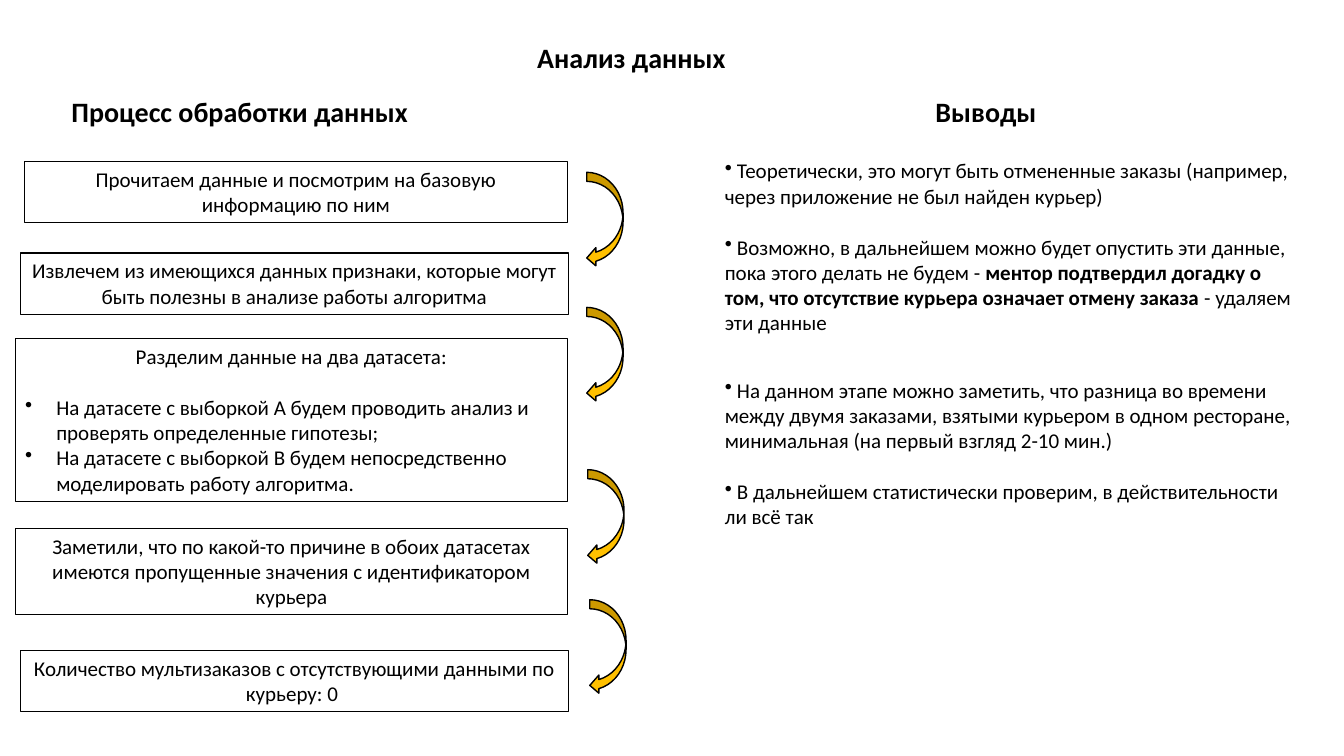
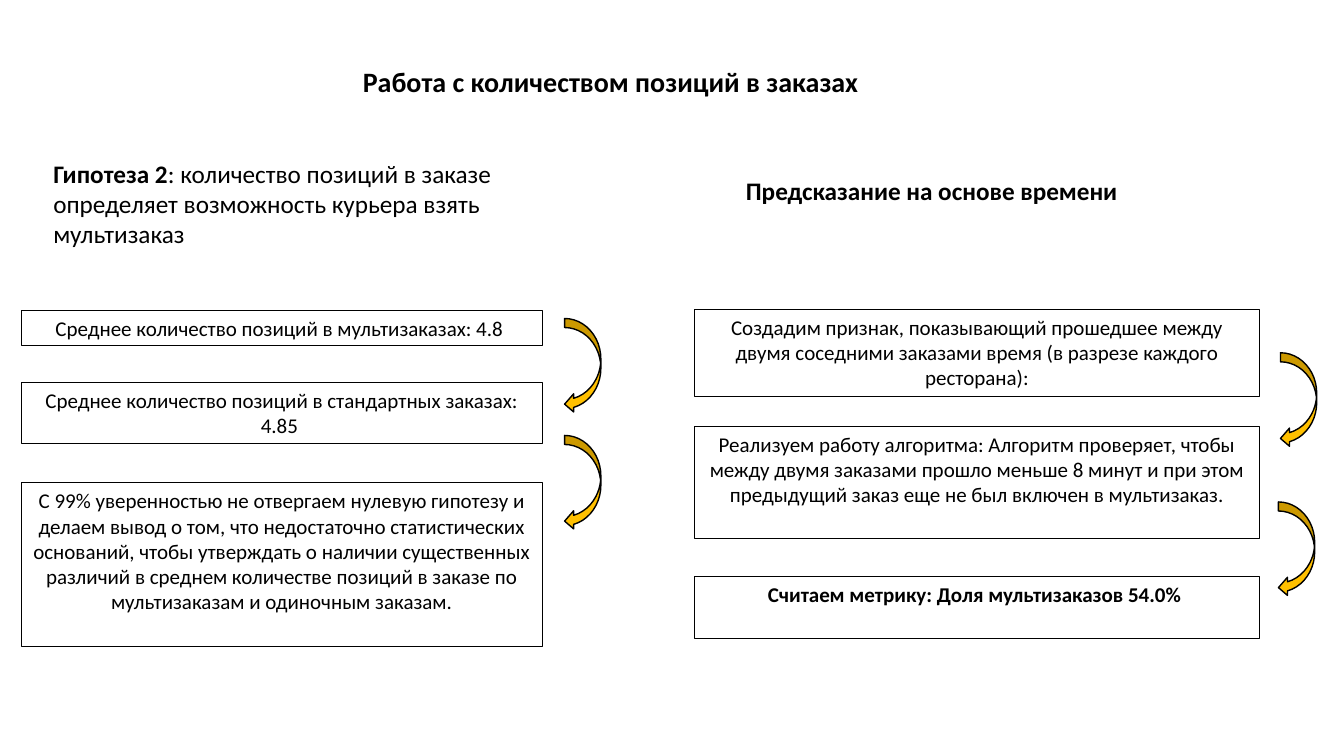
from dataclasses import dataclass

from lxml.etree import SubElement
from pptx import Presentation
from pptx.dml.color import RGBColor
from pptx.enum.shapes import MSO_SHAPE
from pptx.enum.text import MSO_ANCHOR, PP_ALIGN
from pptx.oxml.ns import qn
from pptx.util import Inches, Pt


@dataclass(frozen=True)
class Theme:
    """Colours, font and type sizes of the deck."""
    ink: RGBColor = RGBColor(0, 0, 0)
    gold: RGBColor = RGBColor(0xFF, 0xC0, 0)
    font: str = "Calibri"
    title: int = 20
    lead: int = 18
    body: int = 15
    gap: float = 18.3
    edge: float = 0.75
    rim: float = 1


class Deck:
    """Holds the theme and the slide being drawn."""

    def __init__(self, theme):
        """Start an empty wide deck."""
        self.theme = theme
        self.show = Presentation()
        self.show.slide_width = Inches(13.33)
        self.show.slide_height = Inches(7.5)

    def page(self):
        """Open a new blank slide."""
        self.slide = self.show.slides.add_slide(self.show.slide_layouts[6])

    def fill_text(self, para, text, size):
        """Fill a paragraph; parts between asterisks are bold."""
        for i, part in enumerate(text.split("*")):
            if part:
                run = para.add_run()
                run.text = part
                font = run.font
                font.name, font.size = self.theme.font, Pt(size)
                font.bold = i % 2 == 1
                font.color.rgb = self.theme.ink

    def bullet(self, para, indent=0):
        """Give a paragraph a round bullet with a hanging indent."""
        props = para._p.get_or_add_pPr()
        props.set("marL", str(Inches(indent)))
        props.set("indent", str(-Inches(indent)))
        SubElement(props, qn("a:buChar")).set("char", "•")

    def label(self, left, top, width, height, text, size):
        """Add a left-aligned text box."""
        box = self.slide.shapes.add_textbox(
            Inches(left), Inches(top), Inches(width), Inches(height))
        frame = box.text_frame
        frame.word_wrap = True
        self.fill_text(frame.paragraphs[0], text, size)
        return frame

    def head(self, left, top, width, text):
        """Add a bold heading."""
        self.label(left, top, width, 0.44, f"*{text}*", self.theme.title)

    def notes(self, top, first, second):
        """Add two bulleted findings in the right column."""
        size = self.theme.body
        frame = self.label(7.09, top, 5.91, 2.12, first, size)
        frame.vertical_anchor = MSO_ANCHOR.MIDDLE
        frame.margin_bottom = Inches(0.3)
        self.bullet(frame.paragraphs[0])
        para = frame.add_paragraph()
        para.space_before = Pt(self.theme.gap)
        self.fill_text(para, second, size)
        self.bullet(para)

    def shape(self, kind, left, top, width, height, weight):
        """Add a black-edged preset shape without shadow."""
        item = self.slide.shapes.add_shape(
            kind, Inches(left), Inches(top), Inches(width), Inches(height))
        item.shadow.inherit = False
        item.line.color.rgb = self.theme.ink
        item.line.width = Pt(weight)
        return item

    def step(self, left, top, width, height, text, items=()):
        """Add a framed step with optional bulleted items."""
        box = self.shape(MSO_SHAPE.RECTANGLE, left, top, width, height,
                         self.theme.edge)
        box.fill.background()
        frame = box.text_frame
        frame.word_wrap = True
        frame.vertical_anchor = MSO_ANCHOR.TOP
        para = frame.paragraphs[0]
        para.alignment = PP_ALIGN.CENTER
        self.fill_text(para, text, self.theme.body)
        for i, item in enumerate(items):
            para = frame.add_paragraph()
            para.alignment = PP_ALIGN.LEFT
            para.space_before = Pt(0 if i else self.theme.gap)
            self.fill_text(para, item, self.theme.body)
            self.bullet(para, 0.31)

    def stack(self, left, width, steps):
        """Add framed steps of one column from (top, height, text)."""
        for top, height, text in steps:
            self.step(left, top, width, height, text)

    def arrows(self, *spots):
        """Add curved arrows at the given (left, top) spots."""
        for left, top in spots:
            arrow = self.shape(MSO_SHAPE.CURVED_LEFT_ARROW, left, top,
                               0.36, 0.94, self.theme.rim)
            arrow.fill.solid()
            arrow.fill.fore_color.rgb = self.theme.gold


def study(deck):
    """Draw the data analysis slide."""
    deck.page()
    deck.head(5.23, 0.35, 2.37, "Анализ данных")
    deck.head(0.61, 0.89, 4.07, "Процесс обработки данных")
    deck.head(9.18, 0.89, 1.48, "Выводы ")
    deck.step(0.24, 1.6, 5.39, 0.61,
              "Прочитаем данные и посмотрим на базовую информацию по ним")
    deck.stack(0.2, 5.44, [
        (2.51, 0.61, "Извлечем из имеющихся данных признаки, которые могут "
                     "быть полезны в анализе работы алгоритма"),
        (6.45, 0.61, "Количество мультизаказов с отсутствующими данными по "
                     "курьеру: 0 "),
    ])
    deck.step(0.15, 3.36, 5.48, 1.62, "Разделим данные на два датасета:", [
        "На датасете с выборкой А будем проводить анализ и проверять "
        "определенные гипотезы;",
        "На датасете с выборкой В будем непосредственно моделировать "
        "работу алгоритма.",
    ])
    deck.step(0.15, 5.24, 5.48, 0.86,
              "Заметили, что по какой-то причине в обоих датасетах имеются "
              "пропущенные значения с идентификатором курьера")
    deck.notes(1.51,
               " Теоретически, это могут быть отмененные заказы (например, "
               "через приложение не был найден курьер) ",
               " Возможно, в дальнейшем можно будет опустить эти данные, "
               "пока этого делать не будем - *ментор подтвердил догадку о "
               "том, что отсутствие курьера означает отмену заказа* - "
               "удаляем эти данные ")
    deck.notes(3.56,
               " На данном этапе можно заметить, что разница во времени "
               "между двумя заказами, взятыми курьером в одном ресторане, "
               "минимальная (на первый взгляд 2-10 мин.) ",
               " В дальнейшем статистически проверим, в действительности "
               "ли всё так ")
    deck.arrows((5.82, 1.71), (5.82, 3.05), (5.83, 4.66), (5.85, 5.95))


def count(deck):
    """Draw the slide on the number of items in orders."""
    deck.page()
    lead = deck.theme.lead
    deck.head(3.5, 0.59, 5.9, "Работа с количеством позиций в заказах")
    deck.label(0.43, 1.52, 4.72, 1.01,
               "*Гипотеза 2*: количество позиций в заказе определяет "
               "возможность курьера взять мультизаказ", lead)
    deck.label(7.3, 1.69, 4.43, 0.4,
               "*Предсказание на основе времени*", lead)
    deck.stack(0.21, 5.17, [
        (3.08, 0.35, "Среднее количество позиций в мультизаказах: 4.8 "),
        (3.79, 0.61, "Среднее количество позиций в стандартных заказах: "
                     "4.85 "),
        (4.79, 1.62, "C 99% уверенностью не отвергаем нулевую гипотезу и "
                     "делаем вывод о том, что недостаточно статистических "
                     "оснований, чтобы утверждать о наличии существенных "
                     "различий в среднем количестве позиций в заказе по "
                     "мультизаказам и одиночным заказам."),
    ])
    deck.stack(6.89, 5.6, [
        (3.07, 0.86, "Создадим признак, показывающий прошедшее между двумя "
                     "соседними заказами время (в разрезе каждого "
                     "ресторана):"),
        (4.23, 1.11, "Реализуем работу алгоритма: Алгоритм проверяет, чтобы "
                     "между двумя заказами прошло меньше 8 минут и при этом "
                     "предыдущий заказ еще не был включен в мультизаказ."),
        (5.72, 0.61, "*Считаем метрику: Доля мультизаказов 54.0% *"),
    ])
    deck.arrows((5.6, 3.16), (5.6, 4.32), (12.7, 3.5), (12.68, 4.98))


deck = Deck(Theme())
study(deck)
count(deck)
deck.show.save("out.pptx")
